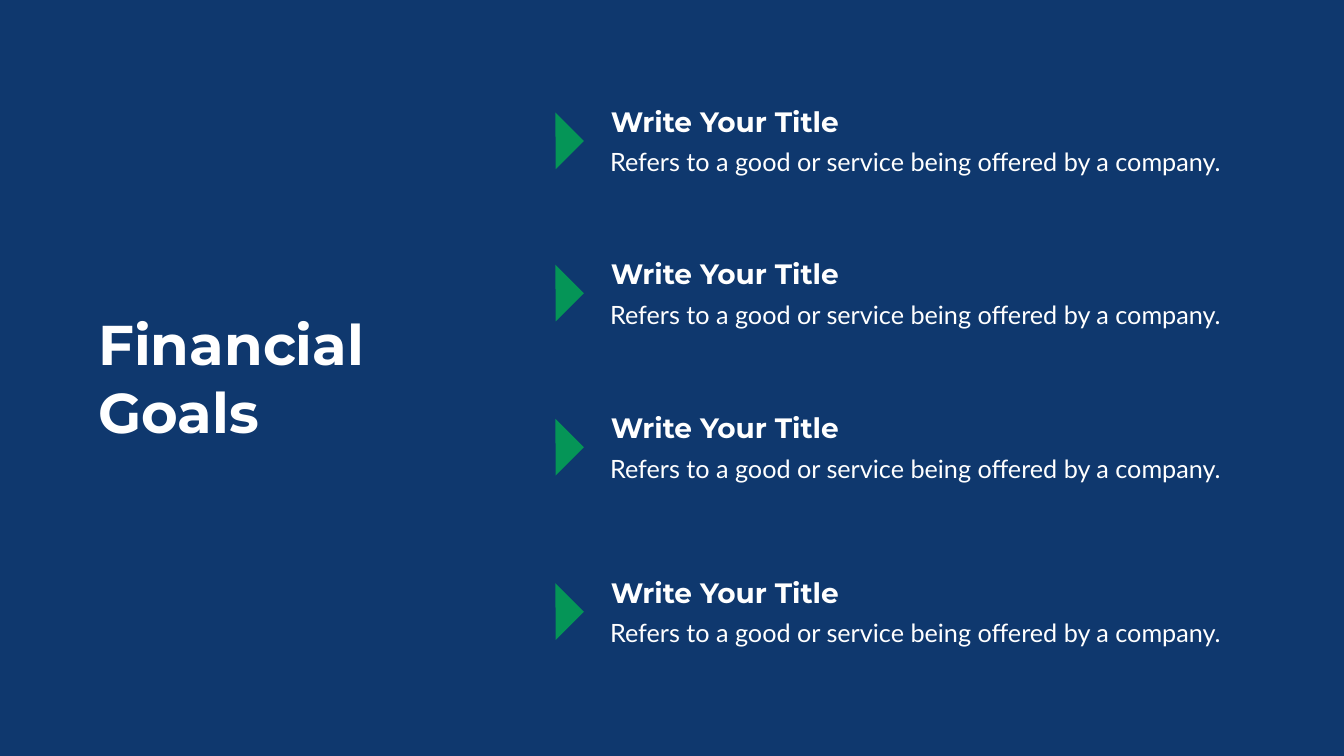
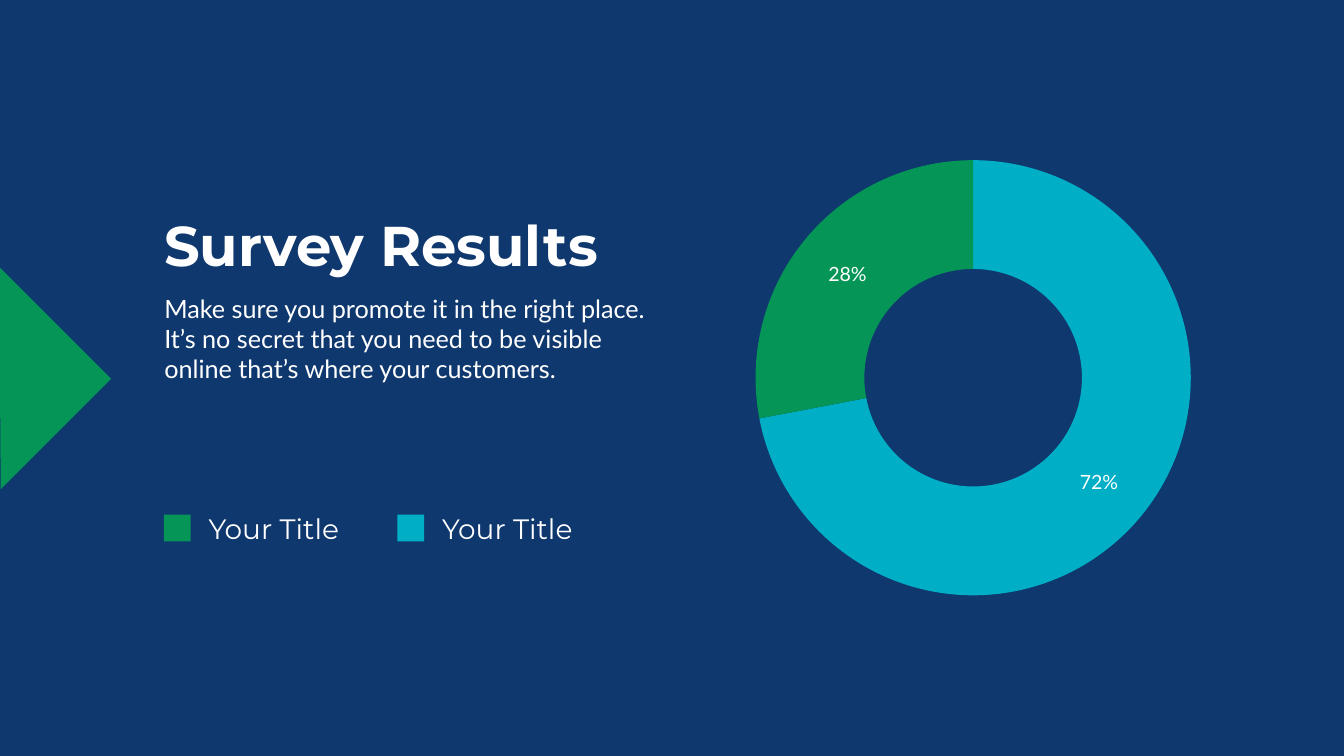
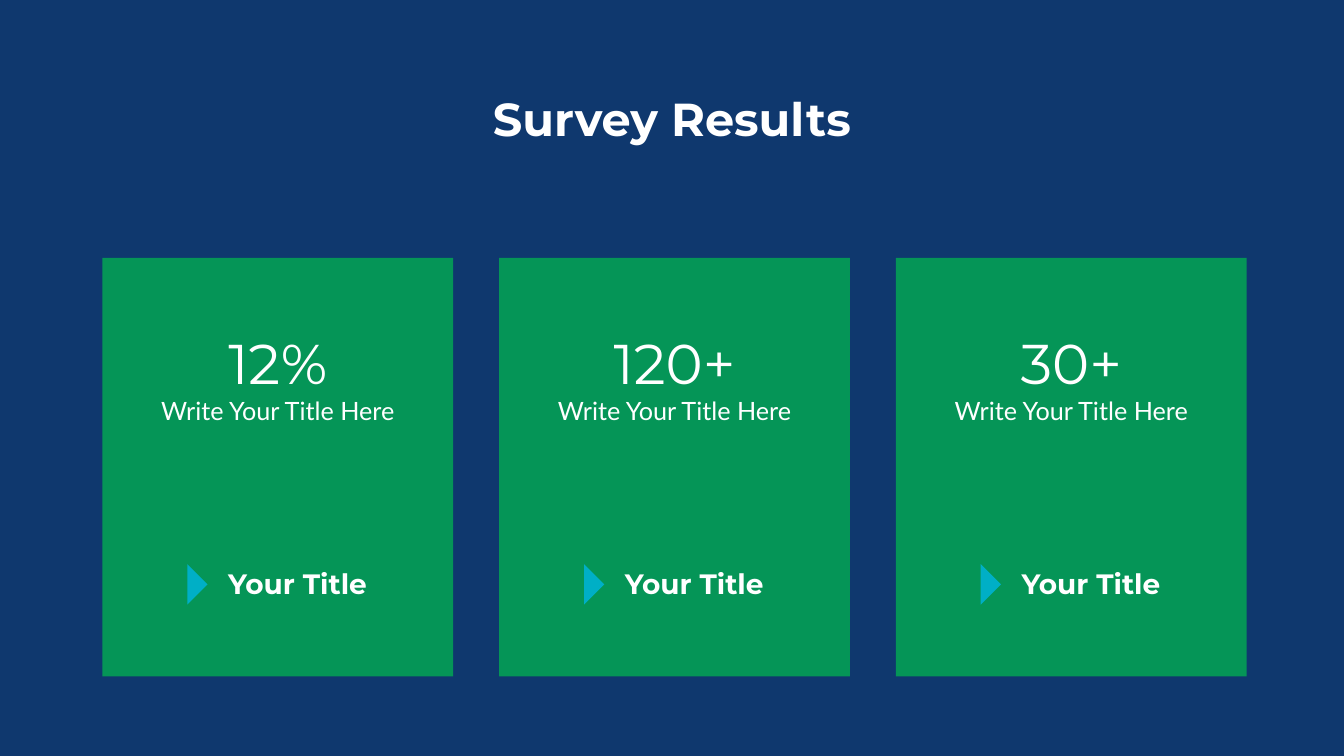
from dataclasses import dataclass

from pptx import Presentation
from pptx.chart.data import CategoryChartData
from pptx.dml.color import RGBColor
from pptx.enum.chart import XL_CHART_TYPE
from pptx.enum.shapes import MSO_SHAPE
from pptx.enum.text import MSO_AUTO_SIZE, PP_ALIGN
from pptx.util import Pt

RECT = MSO_SHAPE.RECTANGLE
WEDGE = MSO_SHAPE.RIGHT_TRIANGLE
RING = XL_CHART_TYPE.DOUGHNUT
GROW = MSO_AUTO_SIZE.SHAPE_TO_FIT_TEXT
LEFT, MID = PP_ALIGN.LEFT, PP_ALIGN.CENTER
WIDE, HIGH = 1919.52, 1080


@dataclass(frozen=True)
class Font:
    face: str
    size: float
    bold: bool = False


@dataclass(frozen=True)
class Theme:
    navy: RGBColor = RGBColor(0x0F, 0x38, 0x6E)
    green: RGBColor = RGBColor(0x05, 0x95, 0x57)
    cyan: RGBColor = RGBColor(0x00, 0xAF, 0xC6)
    white: RGBColor = RGBColor(0xFF, 0xFF, 0xFF)
    title: Font = Font("Montserrat", 80, True)
    banner: Font = Font("Montserrat", 66, True)
    head: Font = Font("Montserrat", 40, True)
    key: Font = Font("Montserrat", 40)
    stat: Font = Font("Montserrat", 80)
    body: Font = Font("Lato", 36)
    label: Font = Font("Lato", 28)


class Deck:
    def __init__(self, theme):
        self.theme = theme
        self.show = Presentation()
        self.show.slide_width, self.show.slide_height = Pt(WIDE), Pt(HIGH)
        self.slide = None

    def page(self):
        self.slide = self.show.slides.add_slide(self.show.slide_layouts[6])
        self.shape(RECT, 0, 0, WIDE, HIGH, self.theme.navy)

    def shape(self, kind, x, y, w, h, color):
        shape = self.slide.shapes.add_shape(kind, Pt(x), Pt(y), Pt(w), Pt(h))
        shape.shadow.inherit = False
        shape.fill.solid()
        shape.fill.fore_color.rgb = color
        shape.line.fill.background()
        return shape

    def arrow(self, x, y, w, h, color):
        self.shape(WEDGE, x, y, w, h, color).rotation = 225

    def style(self, font, look):
        font.name, font.size, font.bold = look.face, Pt(look.size), look.bold
        font.color.rgb = self.theme.white

    def text(self, x, y, w, h, *lines, align=LEFT, pad=(7.2, 3.6)):
        box = self.slide.shapes.add_textbox(Pt(x), Pt(y), Pt(w), Pt(h))
        frame = box.text_frame
        frame.word_wrap, frame.auto_size = True, GROW
        frame.margin_left = frame.margin_right = Pt(pad[0])
        frame.margin_top = frame.margin_bottom = Pt(pad[1])
        frame.text = "\n".join(words for words, look in lines)
        for para, (words, look) in zip(frame.paragraphs, lines):
            para.alignment = align
            for run in para.runs:
                self.style(run.font, look)

    def ring(self, x, y, w, h, parts):
        data = CategoryChartData()
        data.categories = [str(i + 1) for i in range(len(parts))]
        data.add_series("Series 1", [value for value, color in parts])
        chart = self.slide.shapes.add_chart(
            RING, Pt(x), Pt(y), Pt(w), Pt(h), data).chart
        chart.has_legend = chart.has_title = False
        self.style(chart.font, self.theme.label)
        plot = chart.plots[0]
        plot.vary_by_categories = True
        for i, (value, color) in enumerate(parts):
            point = plot.series[0].points[i].format
            point.fill.solid()
            point.fill.fore_color.rgb = color
            point.line.fill.background()
        labels = plot.series[0].data_labels
        labels.show_percentage, labels.show_value = True, False
        labels.number_format, labels.number_format_is_linked = "0%", False
        self.style(labels.font, self.theme.label)


def goals(deck):
    look = deck.theme
    deck.page()
    deck.text(133.2, 439.2, 416.9, 200.9, ("Financial Goals", look.title))
    note = "Refers to a good or service being offered by a company."
    for y in (145.4, 362.9, 583.2, 818):
        deck.text(854, y + 55.5, 928, 61.2, (note, look.body), pad=(17.28, 8.64))
        deck.text(865.4, y, 408.2, 55.4, ("Write Your Title", look.head))
        deck.arrow(764.6, y + 27.2, 57.6, 56.9, look.green)


def survey(deck):
    look = deck.theme
    deck.page()
    deck.arrow(-113, 428.4, 226, 223.2, look.green)
    deck.ring(908.6, 218.9, 962.6, 641.5, [(72, look.cyan), (28, look.green)])
    deck.text(227.5, 297.4, 646.6, 104.4, ("Survey Results", look.title))
    deck.text(227.5, 415.4, 707, 138.2, (
        "Make sure you promote it in the right place. It’s no secret that you "
        "need to be visible online that’s where your customers.", look.body))
    for i, color in enumerate((look.green, look.cyan)):
        x = 234 + i * 333.4
        deck.shape(RECT, x, 735.1, 38.2, 38.2, color)
        deck.text(x + 56.9, 726.5, 239, 55.4, ("Your Title", look.key))


def stats(deck):
    look = deck.theme
    deck.page()
    deck.text(350.6, 126, 1218.2, 87.1, ("Survey Results", look.banner), align=MID)
    for i, count in enumerate(("12%", "120+", "30+")):
        x = 146.2 + i * 566.6
        deck.shape(RECT, x, 368.6, 501.1, 597.6, look.green)
        deck.text(x + 49, 465.8, 403.2, 147.6, (count, look.stat),
                  ("Write Your Title Here", look.body), align=MID)
        deck.text(x + 172.6, 806.4, 227.5, 55.4, ("Your Title", look.head))
        deck.arrow(x + 100.8, 814.3, 41, 41, look.cyan)


def main():
    deck = Deck(Theme())
    for build in (goals, survey, stats):
        build(deck)
    deck.show.save("out.pptx")


if __name__ == "__main__":
    main()
